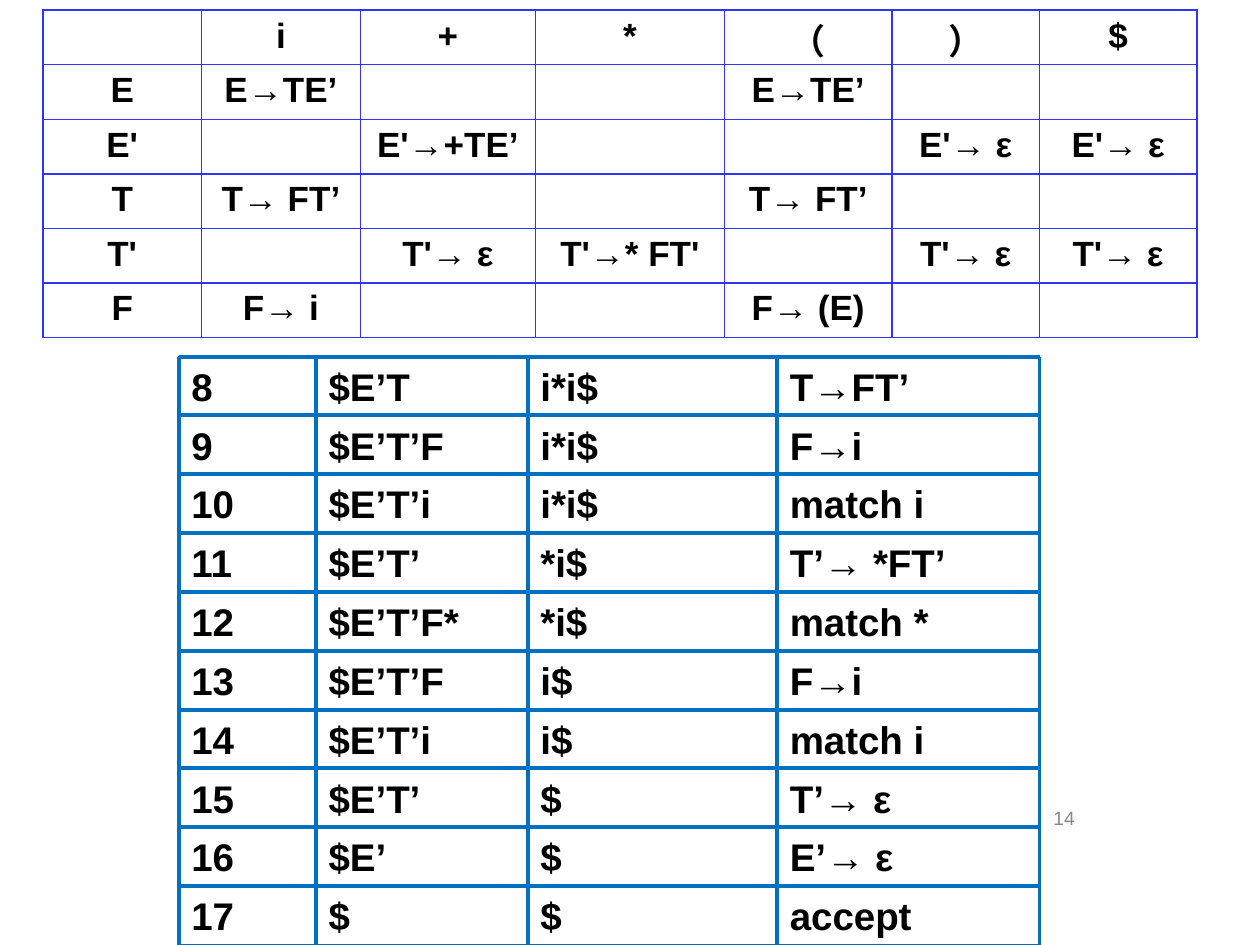
import itertools

import pptx
import pptx.dml.color
import pptx.enum.shapes
import pptx.enum.text
import pptx.oxml
import pptx.util
from pptx.util import Inches

BLACK = pptx.dml.color.RGBColor(0x00, 0x00, 0x00)
GREY = pptx.dml.color.RGBColor(0x89, 0x89, 0x89)
VIOLET = pptx.dml.color.RGBColor(0x33, 0x33, 0xFF)
BLUE = pptx.dml.color.RGBColor(0x00, 0x70, 0xC0)
LEFT = pptx.enum.text.PP_ALIGN.LEFT
CENTER = pptx.enum.text.PP_ALIGN.CENTER
RIGHT = pptx.enum.text.PP_ALIGN.RIGHT
DRAWING_NS = "http://schemas.openxmlformats.org/drawingml/2006/main"

PARSING_COLUMNS = [1.26, 1.26, 1.39, 1.5, 1.33, 1.17, 1.25]
PARSING_HEIGHT = 2.6
PARSING_ROWS = [
    ["", "i", "+", "*", "（", "）", "$"],
    ["E", "E→TE’", "", "", "E→TE’", "", ""],
    ["E'", "", "E'→+TE’", "", "", "E'→ ε", "E'→ ε"],
    ["T", "T→ FT’", "", "", "T→ FT’", "", ""],
    ["T'", "", "T'→ ε", "T'→* FT'", "", "T'→ ε", "T'→ ε"],
    ["F", "F→ i", "", "", "F→ (E)", "", ""],
]

TRACE_LEFT, TRACE_TOP = 1.42, 2.83
TRACE_COLUMNS = [1.09, 1.68, 1.98, 2.08]
TRACE_HEIGHT = 4.67
TRACE_ROWS = [
    ["8", "$E’T", "i*i$", "T→FT’"],
    ["9", "$E’T’F", "i*i$", "F→i"],
    ["10", "$E’T’i", "i*i$", "match i"],
    ["11", "$E’T’", "*i$", "T’→ *FT’"],
    ["12", "$E’T’F*", "*i$", "match *"],
    ["13", "$E’T’F", "i$", "F→i"],
    ["14", "$E’T’i", "i$", "match i"],
    ["15", "$E’T’", "$", "T’→ ε"],
    ["16", "$E’", "$", "E’→ ε"],
    ["17", "$", "$", "accept"],
]


def write(paragraph, text, size, color, bold, align):
    paragraph.alignment = align
    run = paragraph.add_run()
    run.text = text
    run.font.name = "Arial"
    run.font.size = pptx.util.Pt(size)
    run.font.bold = bold
    run.font.color.rgb = color


def set_borders(cell, color, width):
    """Draw all four edges; they must precede the fill in the cell properties."""
    properties = cell._tc.get_or_add_tcPr()
    for position, edge in enumerate(("lnL", "lnR", "lnT", "lnB")):
        border = pptx.oxml.parse_xml(
            f'<a:{edge} xmlns:a="{DRAWING_NS}" w="{pptx.util.Pt(width)}">'
            f'<a:solidFill><a:srgbClr val="{color}"/></a:solidFill></a:{edge}>'
        )
        properties.insert(position, border)


def add_parsing_table(slide):
    table = slide.shapes.add_table(
        len(PARSING_ROWS), len(PARSING_COLUMNS), Inches(0.34), Inches(0.08),
        Inches(sum(PARSING_COLUMNS)), Inches(PARSING_HEIGHT),
    ).table
    table.first_row = False
    table.horz_banding = False
    for column, width in zip(table.columns, PARSING_COLUMNS):
        column.width = Inches(width)
    for row, texts in zip(table.rows, PARSING_ROWS):
        row.height = Inches(PARSING_HEIGHT / len(PARSING_ROWS))
        for cell, text in zip(row.cells, texts):
            cell.margin_left = cell.margin_right = Inches(0.1)
            # Full-width brackets have a taller line and need a smaller margin.
            cell.margin_top = Inches(0.03 if text in ("（", "）") else 0.05)
            cell.margin_bottom = Inches(0)
            cell.fill.background()
            set_borders(cell, VIOLET, 1)
            if text:
                write(cell.text_frame.paragraphs[0], text, 20, BLACK, True, CENTER)


def add_trace_cell(slide, left, top, width, height, text):
    cell = slide.shapes.add_shape(
        pptx.enum.shapes.MSO_SHAPE.RECTANGLE,
        Inches(left), Inches(top), Inches(width), Inches(height),
    )
    cell.shadow.inherit = False
    cell.fill.background()
    cell.line.color.rgb = BLUE
    cell.line.width = pptx.util.Pt(0.75)
    frame = cell.text_frame
    frame.word_wrap = True
    frame.vertical_anchor = pptx.enum.text.MSO_ANCHOR.TOP
    write(frame.paragraphs[0], text, 22, BLACK, True, LEFT)


def add_rule(slide, x1, y1, x2, y2):
    rule = slide.shapes.add_connector(
        pptx.enum.shapes.MSO_CONNECTOR.STRAIGHT,
        Inches(x1), Inches(y1), Inches(x2), Inches(y2),
    )
    rule.line.color.rgb = BLUE
    rule.line.width = pptx.util.Pt(2.25)
    rule._element.spPr.append(
        pptx.oxml.parse_xml(f'<a:effectLst xmlns:a="{DRAWING_NS}"/>')
    )


def add_trace(slide):
    """Boxed steps of the parse, with heavier rules over their shared edges."""
    xs = list(itertools.accumulate(TRACE_COLUMNS, initial=TRACE_LEFT))
    row_height = TRACE_HEIGHT / len(TRACE_ROWS)
    ys = [TRACE_TOP + row_height * index for index in range(len(TRACE_ROWS))]
    for y, texts in zip(ys, TRACE_ROWS):
        for x, width, text in zip(xs, TRACE_COLUMNS, texts):
            add_trace_cell(slide, x, y, width, row_height, text)
    for y in ys:
        add_rule(slide, xs[0], y, xs[-1], y)
    for x in xs:
        add_rule(slide, x, TRACE_TOP, x, TRACE_TOP + TRACE_HEIGHT)


def add_page_number(slide, number):
    box = slide.shapes.add_textbox(
        Inches(6.5), Inches(6.31), Inches(2.12), Inches(0.36)
    )
    frame = box.text_frame
    frame.word_wrap = True
    frame.vertical_anchor = pptx.enum.text.MSO_ANCHOR.MIDDLE
    frame.margin_left = frame.margin_right = Inches(0.09)
    write(frame.paragraphs[0], number, 11, GREY, False, RIGHT)


def main():
    presentation = pptx.Presentation()
    presentation.slide_width = Inches(10)
    presentation.slide_height = Inches(7.5)
    slide = presentation.slides.add_slide(presentation.slide_layouts[6])
    add_trace(slide)
    add_parsing_table(slide)
    add_page_number(slide, "14")
    presentation.save("out.pptx")


if __name__ == "__main__":
    main()
